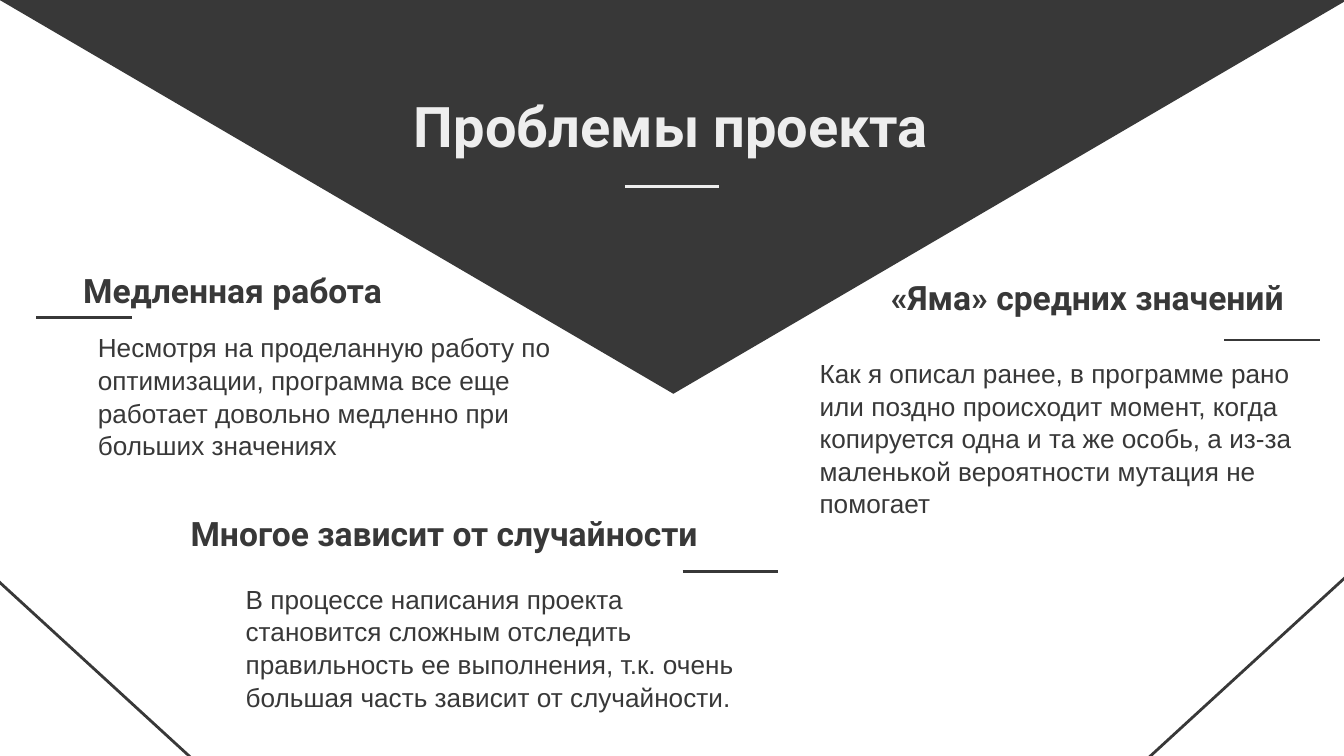
import pptx
import pptx.util
import pptx.dml.color
import pptx.enum.shapes
import pptx.enum.text
import pptx.oxml

THEME = {
    "dark": pptx.dml.color.RGBColor.from_string("383838"),
    "light": pptx.dml.color.RGBColor.from_string("EEEEEE"),
    "title": {"name": "Roboto", "size": pptx.util.Pt(30), "bold": True},
    "heading": {"name": "Roboto", "size": pptx.util.Pt(18), "bold": True},
    "body": {"name": "Arial", "size": pptx.util.Pt(14), "bold": False},
    "line": pptx.util.Pt(1.5),
}
TOP, MIDDLE = pptx.enum.text.MSO_ANCHOR.TOP, pptx.enum.text.MSO_ANCHOR.MIDDLE
LEFT, CENTER = pptx.enum.text.PP_ALIGN.LEFT, pptx.enum.text.PP_ALIGN.CENTER

prs = pptx.Presentation()
prs.slide_width = pptx.util.Inches(10)
prs.slide_height = prs.slide_width * 9 // 16
s = prs.slides.add_slide(prs.slide_layouts[6])
CELL = prs.slide_width / 100  # square grid, 100 columns wide


def add_text(text, box, style, color, anchor=TOP, align=LEFT, spacing=1.0):
    """Write one paragraph in a box given as left, top, width, height in cells."""
    sp = s.shapes.add_textbox(*(round(v * CELL) for v in box))
    tf = sp.text_frame
    inset = round(CELL)
    frame = {"word_wrap": True, "vertical_anchor": anchor, "margin_left": inset,
             "margin_right": inset, "margin_top": inset, "margin_bottom": inset}
    for name, value in frame.items():
        setattr(tf, name, value)
    p = tf.paragraphs[0]
    p.alignment, p.line_spacing = align, spacing
    r = p.add_run()
    r.text = text
    for name, value in THEME[style].items():
        setattr(r.font, name, value)
    r.font.color.rgb = THEME[color]


def add_line(x1, y1, x2, y2, color="dark"):
    ends = (round(v * CELL) for v in (x1, y1, x2, y2))
    sp = s.shapes.add_connector(pptx.enum.shapes.MSO_CONNECTOR.STRAIGHT, *ends)
    sp.line.color.rgb = THEME[color]
    sp.line.width = THEME["line"]
    sp._element.spPr.append(pptx.oxml.parse_xml(
        '<a:effectLst xmlns:a="http://schemas.openxmlformats.org/drawingml/2006/main"/>'))


# Backdrop: the inverted triangle and the two corner lines
triangle = s.shapes.add_shape(pptx.enum.shapes.MSO_SHAPE.ISOSCELES_TRIANGLE,
                              *(round(v * CELL) for v in (-0.2, -0.1, 100.6, 29.4)))
triangle.adjustments[0] = 0.5
triangle.rotation = 180
triangle.shadow.inherit = False
triangle.fill.solid()
triangle.fill.fore_color.rgb = THEME["dark"]
triangle.line.fill.background()
add_line(28.2, 69.2, -24.5, 20.9)
add_line(71.8, 68.9, 124.5, 20.6)

# Title
add_text("Проблемы проекта", (7.8, 5.8, 84.3, 5.8), "title", "light", align=CENTER)
add_line(46.5, 13.9, 53.5, 13.9, "light")

# Problems: heading, its box, text, its box, start of the rule
problems = [
    ("Медленная работа", (5.2, 19.8, 32.1, 3.6),
     "Несмотря на проделанную работу по оптимизации, программа все еще "
     "работает довольно медленно при больших значениях",
     (6.3, 23.6, 38.3, 5.6), (2.7, 23.6)),
    ("Многое зависит от случайности", (13.2, 37.9, 42.4, 3.6),
     "В процессе написания проекта становится сложным отследить правильность "
     "ее выполнения, т.к. очень большая часть зависит от случайности.",
     (17.3, 42.3, 40, 5.6), (50.8, 42.5)),
    ("«Яма» средних значений", (65.3, 20.3, 34.7, 3.6),
     "Как я описал ранее, в программе рано или поздно происходит момент, когда "
     "копируется одна и та же особь, а из-за маленькой вероятности мутация не помогает",
     (60, 25.5, 40, 14.4), (91.1, 25.3)),
]
for heading, heading_box, body, body_box, (x, y) in problems:
    add_text(heading, heading_box, "heading", "dark", anchor=MIDDLE)
    add_text(body, body_box, "body", "dark", spacing=1.04)
    add_line(x, y, x + 7.1, y)

prs.save("out.pptx")
